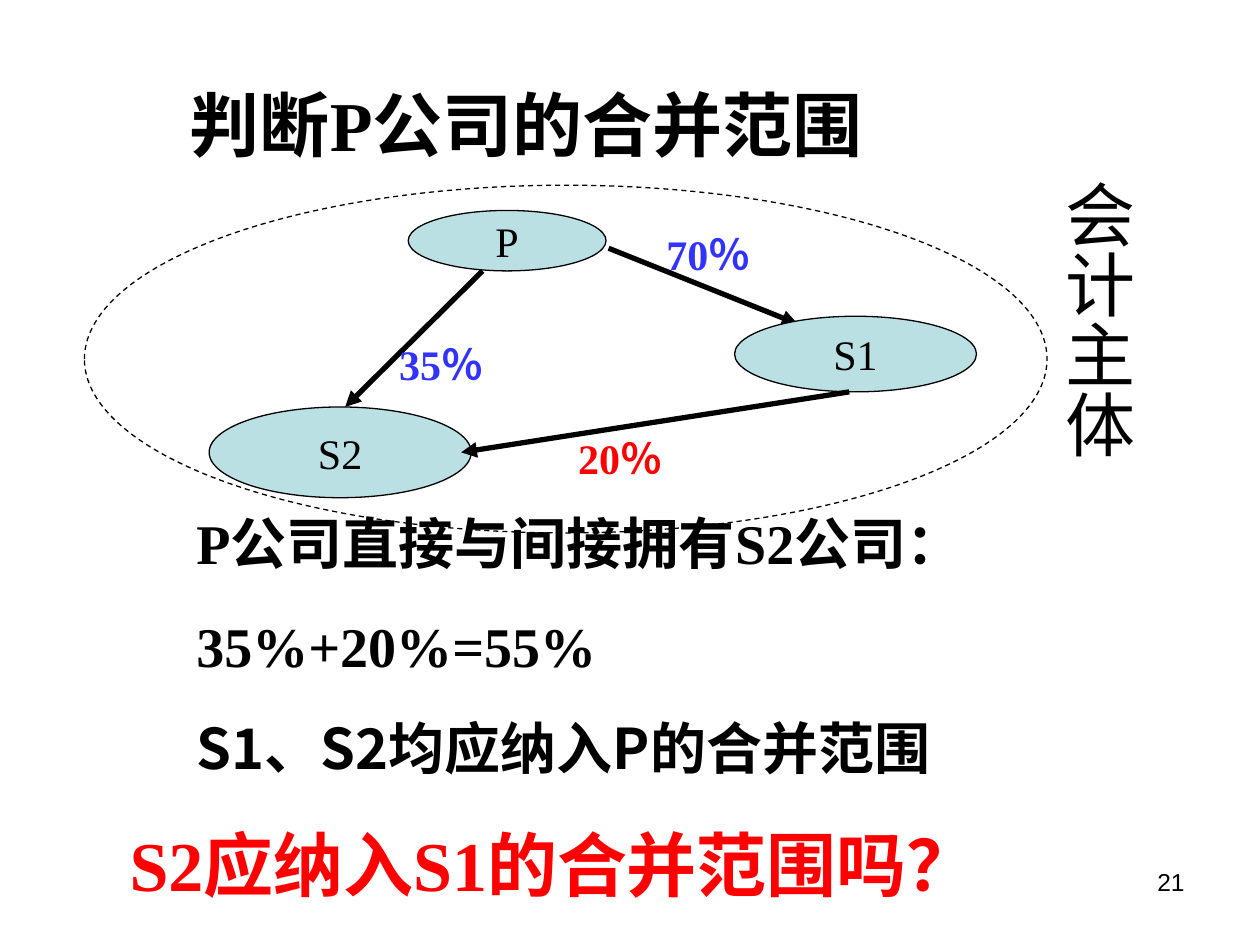
from pptx import Presentation
from pptx.dml.color import RGBColor
from pptx.enum.dml import MSO_LINE
from pptx.enum.shapes import MSO_CONNECTOR, MSO_SHAPE
from pptx.enum.text import MSO_ANCHOR, PP_ALIGN
from pptx.oxml.ns import qn
from pptx.util import Inches, Pt
from lxml import etree

OVAL, LINE, DASH = MSO_SHAPE.OVAL, MSO_CONNECTOR.STRAIGHT, MSO_LINE.DASH
MID, TOP = MSO_ANCHOR.MIDDLE, MSO_ANCHOR.TOP
LEFT, MIDDLE, RIGHT = PP_ALIGN.LEFT, PP_ALIGN.CENTER, PP_ALIGN.RIGHT
WIDE, HIGH = Inches(10), Inches(7.5)
HUES = {"ink": "000000", "blue": "3333FF", "red": "FF0000", "pale": "BBE0E3"}
SERIF, SANS, PLAIN = "Times New Roman", "Noto Sans CJK SC", "Arial"

TITLE = ("判断P公司的合并范围", (14.1, 8, 58, 10.27))
QUERY = ("S2应纳入S1的合并范围吗？", (9.3, 86.27, 73.2, 10.27))
SIDE = ("会计主体", (82.4, 17.7, 8.6, 30.93))
PAGE = ("21", (71.7, 91.07, 23.3, 6.93))
PROOF = [
    ("P公司直接与间接拥有S2公司：", SERIF),
    ("35%+20%=55%", SERIF),
    ("S1、S2均应纳入P的合并范围", SANS),
]
PROOF_BOX = (14.6, 53.2, 72.5, 33)
RING = (6.7, 19.6, 76.4, 36.8)
FIRMS = [
    ("P", (32.4, 22.27, 15.7, 6.4)),
    ("S1", (58.3, 33.47, 19.2, 8)),
    ("S2", (16.6, 43.07, 20.8, 9.6)),
]
UNDER = [(48.3, 26.27, 63.3, 34.27), (38.3, 28.67, 27.4, 43.07)]
OVER = [(67.4, 41.47, 36.6, 47.87)]
STAKE_SIZE = (10.8, 6.67)
STAKES = [
    ("70％", (51.9, 23.47), "blue"),
    ("35％", (30.7, 35.2), "blue"),
    ("20％", (44.9, 45.07), "red"),
]


def tint(name):
    return RGBColor.from_string(HUES[name])


def place(box):
    return [round(part * side / 100) for part, side in zip(box, (WIDE, HIGH) * 2)]


def write(shape, rows, size=24, hue="ink", bold=False, align=LEFT,
          anchor=TOP, wrap=False, gap=0, font=SERIF):
    frame = shape.text_frame
    frame.word_wrap, frame.vertical_anchor = wrap, anchor
    rows = [(rows, font)] if isinstance(rows, str) else rows
    for i, (text, face) in enumerate(rows):
        para = frame.add_paragraph() if i else frame.paragraphs[0]
        para.alignment = align
        if i and gap:
            para.space_before = Pt(gap)
        run = para.add_run()
        run.text = text
        run.font.name, run.font.size, run.font.bold = face, Pt(size), bold
        run.font.color.rgb = tint(hue)
    return frame


def label(box, rows, **form):
    return write(slide.shapes.add_textbox(*place(box)), rows, **form)


def oval(box, fill=None):
    shape = slide.shapes.add_shape(OVAL, *place(box))
    shape.shadow.inherit = False
    if fill:
        shape.fill.solid()
        shape.fill.fore_color.rgb = tint(fill)
    else:
        shape.fill.background()
    shape.line.color.rgb, shape.line.width = tint("ink"), Pt(0.75)
    return shape


def arrow(ends):
    link = slide.shapes.add_connector(LINE, *place(ends))
    link.line.color.rgb, link.line.width = tint("ink"), Pt(3)
    etree.SubElement(link.line._get_or_add_ln(), qn("a:tailEnd"), type="triangle")
    etree.SubElement(link._element.spPr, qn("a:effectLst"))


deck = Presentation()
deck.slide_width, deck.slide_height = WIDE, HIGH
slide = deck.slides.add_slide(deck.slide_layouts[6])

for ends in UNDER:
    arrow(ends)
for name, box in FIRMS:
    write(oval(box, "pale"), name, align=MIDDLE, anchor=MID)
for ends in OVER:
    arrow(ends)
for text, spot, hue in STAKES:
    label(spot + STAKE_SIZE, text, hue=hue, bold=True, wrap=True)

label(PROOF_BOX, PROOF, size=32, bold=True, wrap=True, gap=20)
label(TITLE[1], TITLE[0], size=40, bold=True)
label(QUERY[1], QUERY[0], size=40, bold=True, hue="red")
oval(RING).line.dash_style = DASH
side = label(SIDE[1], SIDE[0], size=40)
side.margin_left = side.margin_right = Inches(0.05)
side.margin_top = side.margin_bottom = Inches(0.1)
side._txBody.bodyPr.set("vert", "eaVert")
label(PAGE[1], PAGE[0], size=14, align=RIGHT, wrap=True, font=PLAIN)

deck.save("out.pptx")
